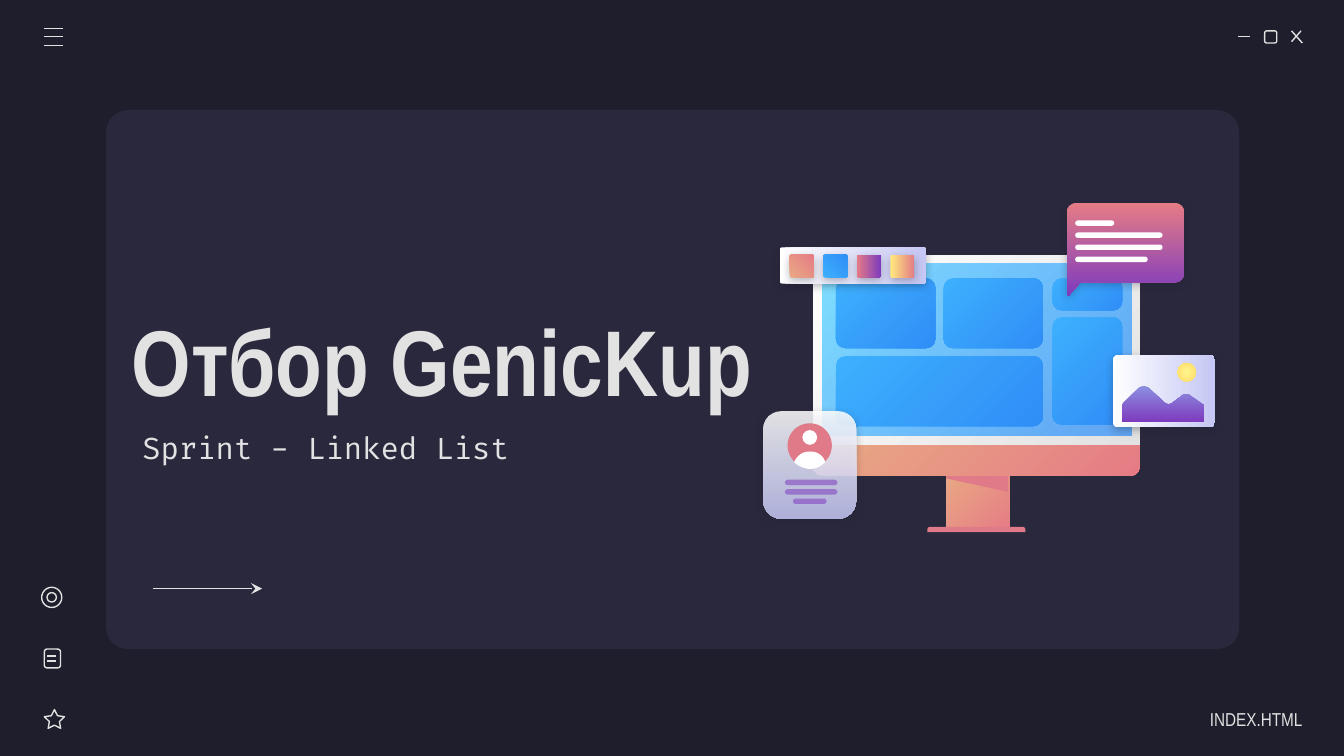
from dataclasses import dataclass

from lxml import etree
from pptx import Presentation
from pptx.dml.color import RGBColor
from pptx.enum.shapes import MSO_CONNECTOR, MSO_SHAPE
from pptx.enum.text import MSO_ANCHOR, MSO_AUTO_SIZE, PP_ALIGN
from pptx.oxml.ns import qn
from pptx.util import Inches, Pt

RECTANGLE = MSO_SHAPE.RECTANGLE
ROUNDED = MSO_SHAPE.ROUNDED_RECTANGLE
TOP_ROUNDED = MSO_SHAPE.ROUND_2_SAME_RECTANGLE
ELLIPSE = MSO_SHAPE.OVAL
STAR = MSO_SHAPE.STAR_5_POINT
STRAIGHT = MSO_CONNECTOR.STRAIGHT
LEFT, RIGHT = PP_ALIGN.LEFT, PP_ALIGN.RIGHT


@dataclass(frozen=True)
class Fill:
    """A plain colour, or a gradient when end is given; angle runs clockwise, None is radial."""
    start: str
    end: str = ""
    angle: float | None = 45
    start_alpha: int = 100
    end_alpha: int = 100


@dataclass(frozen=True)
class Theme:
    background: str = "1E1E2C"
    ink: str = "E2E2E2"
    card: Fill = Fill("29283D")
    white: Fill = Fill("FFFFFF")
    rose: Fill = Fill("E07A88")
    text_bar: Fill = Fill("7E3BBE", start_alpha=54)
    peach: Fill = Fill("E9A984", "E57C85")
    frame: Fill = Fill("FFFFFF", "E2E2E2")
    screen: Fill = Fill("80DFFF", "318FFA", end_alpha=72)
    blue: Fill = Fill("3DB0FD", "308EF7")
    sunset: Fill = Fill("E57C85", "7E3BBE", 90)
    gold: Fill = Fill("FFEA7D", "E57C85", 90)
    paper: Fill = Fill("FFFFFF", "C5C7F4", 90)
    glass: Fill = Fill("FFFFFF", "C5C7F4", 90, 86, 86)
    mountain: Fill = Fill("8D90E1", "7E3BBE", 90)
    sun: Fill = Fill("FFF68E", "FFD966", None)
    display_font: str = "Arial Narrow"
    code_font: str = "Fira Code"
    title_size: int = 50
    subtitle_size: int = 16
    footer_size: int = 10
    stroke: float = 0.75


THEME = Theme()


def set_alpha(colour_parent, alpha):
    if alpha < 100:
        etree.SubElement(colour_parent.find(qn("a:srgbClr")), qn("a:alpha"), val=str(alpha * 1000))


def apply_fill(shape, fill):
    properties = shape.element.spPr
    if not fill.end:
        shape.fill.solid()
        shape.fill.fore_color.rgb = RGBColor.from_string(fill.start)
        set_alpha(properties.find(qn("a:solidFill")), fill.start_alpha)
        return
    shape.fill.gradient()
    shape.fill.gradient_angle = -(fill.angle or 0) % 360
    gradient = properties.find(qn("a:gradFill"))
    colours = (fill.start, fill.end)
    for stop, colour in zip(shape.fill.gradient_stops, colours):
        stop.color.rgb = RGBColor.from_string(colour)
    for stop, alpha in zip(gradient.iter(qn("a:gs")), (fill.start_alpha, fill.end_alpha)):
        set_alpha(stop, alpha)
    if fill.angle is None:
        radial = etree.Element(qn("a:path"), path="circle")
        etree.SubElement(radial, qn("a:fillToRect"), l="50000", t="50000", r="50000", b="50000")
        gradient.replace(gradient.find(qn("a:lin")), radial)


def style_shape(shape, fill=None, shadow=False):
    """Fill the shape, or outline it in the ink colour when no fill is given."""
    shape.shadow.inherit = False
    if fill:
        apply_fill(shape, fill)
        shape.line.fill.background()
    else:
        shape.fill.background()
        shape.line.color.rgb = RGBColor.from_string(THEME.ink)
        shape.line.width = Pt(THEME.stroke)
    if shadow:
        effects = shape.element.spPr.find(qn("a:effectLst"))
        outer = etree.SubElement(effects, qn("a:outerShdw"), blurRad=str(Pt(4.5)),
                                 dist=str(Pt(1.5)), dir="5400000", algn="bl", rotWithShape="0")
        colour = etree.SubElement(outer, qn("a:srgbClr"), val=THEME.background)
        etree.SubElement(colour, qn("a:alpha"), val="30000")


def add_preset(shapes, kind, box, fill=None, adjustments=(), rotation=0, shadow=False):
    shape = shapes.add_shape(kind, *map(Inches, box))
    for index, value in enumerate(adjustments):
        shape.adjustments[index] = value
    shape.rotation = rotation
    style_shape(shape, fill, shadow)
    return shape


def add_outline(shapes, start, segments, fill, shadow=False):
    """Closed outline; a segment is a point (x, y) or a Bezier curve (two handles and an end)."""
    points, steps = [start], 10
    for segment in segments:
        if len(segment) == 2:
            points.append(segment)
            continue
        x0, y0 = points[-1]
        x1, y1, x2, y2, x3, y3 = segment
        for step in range(1, steps + 1):
            t = step / steps
            a, b, c, d = (1 - t) ** 3, 3 * t * (1 - t) ** 2, 3 * t * t * (1 - t), t ** 3
            points.append((a * x0 + b * x1 + c * x2 + d * x3, a * y0 + b * y1 + c * y2 + d * y3))
    points = [(Inches(x), Inches(y)) for x, y in points]
    builder = shapes.build_freeform(*points[0], scale=1.0)
    builder.add_line_segments(points[1:], close=True)
    style_shape(builder.convert_to_shape(), fill, shadow)


def add_line(shapes, x1, y1, x2, y2, arrow=False):
    connector = shapes.add_connector(STRAIGHT, *map(Inches, (x1, y1, x2, y2)))
    connector.line.color.rgb = RGBColor.from_string(THEME.ink)
    connector.line.width = Pt(THEME.stroke)
    properties = connector.element.spPr
    if arrow:
        etree.SubElement(properties.find(qn("a:ln")), qn("a:tailEnd"), type="stealth")
    etree.SubElement(properties, qn("a:effectLst"))


def write_text(shape, text, box, size, font=THEME.display_font, bold=False, align=LEFT, right_inset=0.1):
    shape.left, shape.top, shape.width, shape.height = map(Inches, box)
    frame = shape.text_frame
    frame.text = text
    frame.word_wrap = True
    frame.auto_size = MSO_AUTO_SIZE.NONE
    frame.vertical_anchor = MSO_ANCHOR.MIDDLE
    frame.margin_left = frame.margin_top = frame.margin_bottom = Inches(0.1)
    frame.margin_right = Inches(right_inset)
    paragraph = frame.paragraphs[0]
    paragraph.alignment = align
    paragraph.space_before = Pt(0)
    style = paragraph.runs[0].font
    style.name, style.size, style.bold = font, Pt(size), bold
    style.color.rgb = RGBColor.from_string(THEME.ink)


def add_bars(shapes, bars, fill):
    for left, top, width in bars:
        add_preset(shapes, ROUNDED, (left, top, width, 0.04), fill, [0.5])


def draw_window_controls(shapes):
    add_line(shapes, 9.21, 0.27, 9.3, 0.27)
    add_preset(shapes, ROUNDED, (9.41, 0.23, 0.09, 0.09))
    add_line(shapes, 9.61, 0.23, 9.69, 0.32)
    add_line(shapes, 9.68, 0.23, 9.61, 0.31)


def draw_monitor(shapes):
    add_preset(shapes, RECTANGLE, (7.04, 3.52, 0.47, 0.43), THEME.peach)
    add_preset(shapes, TOP_ROUNDED, (6.9, 3.92, 0.73, 0.04), THEME.rose, [0.5, 0])
    add_outline(shapes, (7.04, 3.53), [(7.04, 3.56), (7.5, 3.66), (7.5, 3.53)], THEME.rose)
    add_preset(shapes, TOP_ROUNDED, (6.05, 3.3, 2.43, 0.24), THEME.peach, [0, 0.27])
    add_preset(shapes, TOP_ROUNDED, (6.05, 1.9, 2.43, 1.41), THEME.frame, [0.05, 0])
    add_preset(shapes, RECTANGLE, (6.12, 1.96, 2.3, 1.28), THEME.screen)
    tiles = [(6.22, 2.07, 0.74, 0.52), (6.22, 2.65, 1.54, 0.52), (7.02, 2.07, 0.74, 0.52),
             (7.83, 2.07, 0.52, 0.24), (7.83, 2.36, 0.52, 0.8)]
    for tile in tiles:
        add_preset(shapes, ROUNDED, tile, THEME.blue, [0.07 / min(tile[2:])])


def draw_speech_bubble(shapes):
    add_outline(shapes, (8.01, 1.51), [
        (7.97, 1.51, 7.94, 1.54, 7.94, 1.58), (7.94, 2.18),
        (7.94, 2.19, 7.95, 2.2, 7.95, 2.2), (7.96, 2.2, 7.96, 2.2, 7.96, 2.19),
        (8.04, 2.1), (8.74, 2.1), (8.78, 2.1, 8.81, 2.07, 8.81, 2.03), (8.81, 1.58),
        (8.81, 1.54, 8.78, 1.51, 8.74, 1.51)], THEME.sunset, shadow=True)
    widths = (0.29, 0.65, 0.65, 0.54)
    add_bars(shapes, [(8, 1.64 + 0.09 * row, width) for row, width in enumerate(widths)], THEME.white)


def draw_menu(shapes):
    for y in (0.21, 0.34, 0.27):
        add_line(shapes, 0.33, y, 0.47, y)


def draw_profile(shapes):
    add_preset(shapes, ROUNDED, (5.68, 3.06, 0.69, 0.8), THEME.glass, [0.19], shadow=True)
    add_preset(shapes, ELLIPSE, (5.86, 3.15, 0.33, 0.33), THEME.rose)
    add_preset(shapes, ELLIPSE, (5.97, 3.2, 0.11, 0.11), THEME.white)
    add_outline(shapes, (6.03, 3.36), [
        (5.97, 3.36, 5.93, 3.39, 5.91, 3.44), (5.94, 3.47, 5.99, 3.49, 6.03, 3.49),
        (6.07, 3.49, 6.11, 3.47, 6.14, 3.44), (6.13, 3.39, 6.08, 3.36, 6.03, 3.36)], THEME.white)
    add_bars(shapes, [(5.84, 3.57, 0.39), (5.84, 3.64, 0.39), (5.9, 3.71, 0.25)], THEME.text_bar)


def draw_photo(shapes):
    add_preset(shapes, ROUNDED, (8.39, 2.53, 0.54, 0.76), THEME.paper, [0.07], 270, True)
    add_outline(shapes, (8.51, 2.87), [
        (8.5, 2.87, 8.49, 2.88, 8.48, 2.88), (8.36, 3), (8.35, 3.01, 8.35, 3.02, 8.35, 3.03),
        (8.35, 3.14), (8.96, 3.14), (8.96, 3.04), (8.96, 3.03, 8.96, 3.02, 8.95, 3.01),
        (8.85, 2.94), (8.84, 2.93, 8.81, 2.93, 8.8, 2.94), (8.72, 3),
        (8.71, 3.01, 8.68, 3.01, 8.67, 3), (8.54, 2.88), (8.53, 2.88, 8.52, 2.87, 8.51, 2.87)],
        THEME.mountain)
    add_preset(shapes, ELLIPSE, (8.76, 2.7, 0.14, 0.14), THEME.sun)


def draw_palette(shapes):
    add_preset(shapes, ROUNDED, (6.21, 1.43, 0.27, 1.09), THEME.paper, [0.07], 270, True)
    for column, fill in enumerate((THEME.peach, THEME.blue, THEME.sunset, THEME.gold)):
        box = (5.88 + 0.25 * column, 1.89, 0.17, 0.18)
        add_preset(shapes, ROUNDED, box, fill, [0.07], 270, True)


def draw_side_icons(shapes):
    add_preset(shapes, STAR, (0.33, 5.28, 0.15, 0.14), adjustments=[0.25])
    add_preset(shapes, ROUNDED, (0.33, 4.83, 0.12, 0.14))
    for y in (4.88, 4.92):
        add_line(shapes, 0.35, y, 0.42, y)
    add_preset(shapes, ELLIPSE, (0.31, 4.37, 0.15, 0.15))
    add_preset(shapes, ELLIPSE, (0.35, 4.41, 0.07, 0.07))


def main():
    presentation = Presentation()
    presentation.slide_width = Inches(10)
    presentation.slide_height = Inches(10 * 9 / 16)
    slide = presentation.slides.add_slide(presentation.slide_layouts[0])
    slide.background.fill.solid()
    slide.background.fill.fore_color.rgb = RGBColor.from_string(THEME.background)
    title, subtitle = slide.placeholders

    card = add_preset(slide.shapes, ROUNDED, (0.79, 0.82, 8.43, 4.01), THEME.card, [0.04])
    title.element.addprevious(card.element)
    write_text(title, "Отбор GenicKup", (0.88, 1.79, 4.85, 1.76), THEME.title_size, bold=True)
    write_text(subtitle, "Sprint - Linked List", (0.96, 3.1, 3.24, 0.46),
               THEME.subtitle_size, font=THEME.code_font)

    for draw in (draw_window_controls, draw_monitor, draw_speech_bubble, draw_menu,
                 draw_profile, draw_photo, draw_palette, draw_side_icons):
        draw(slide.shapes.add_group_shape().shapes)

    add_line(slide.shapes, 1.14, 4.38, 1.95, 4.38, arrow=True)
    box = (8.52, 5.2, 1.17, 0.3)
    footer = slide.shapes.add_textbox(*map(Inches, box))
    write_text(footer, "INDEX.HTML", box, THEME.footer_size, align=RIGHT, right_inset=0)
    presentation.save("out.pptx")


if __name__ == "__main__":
    main()
